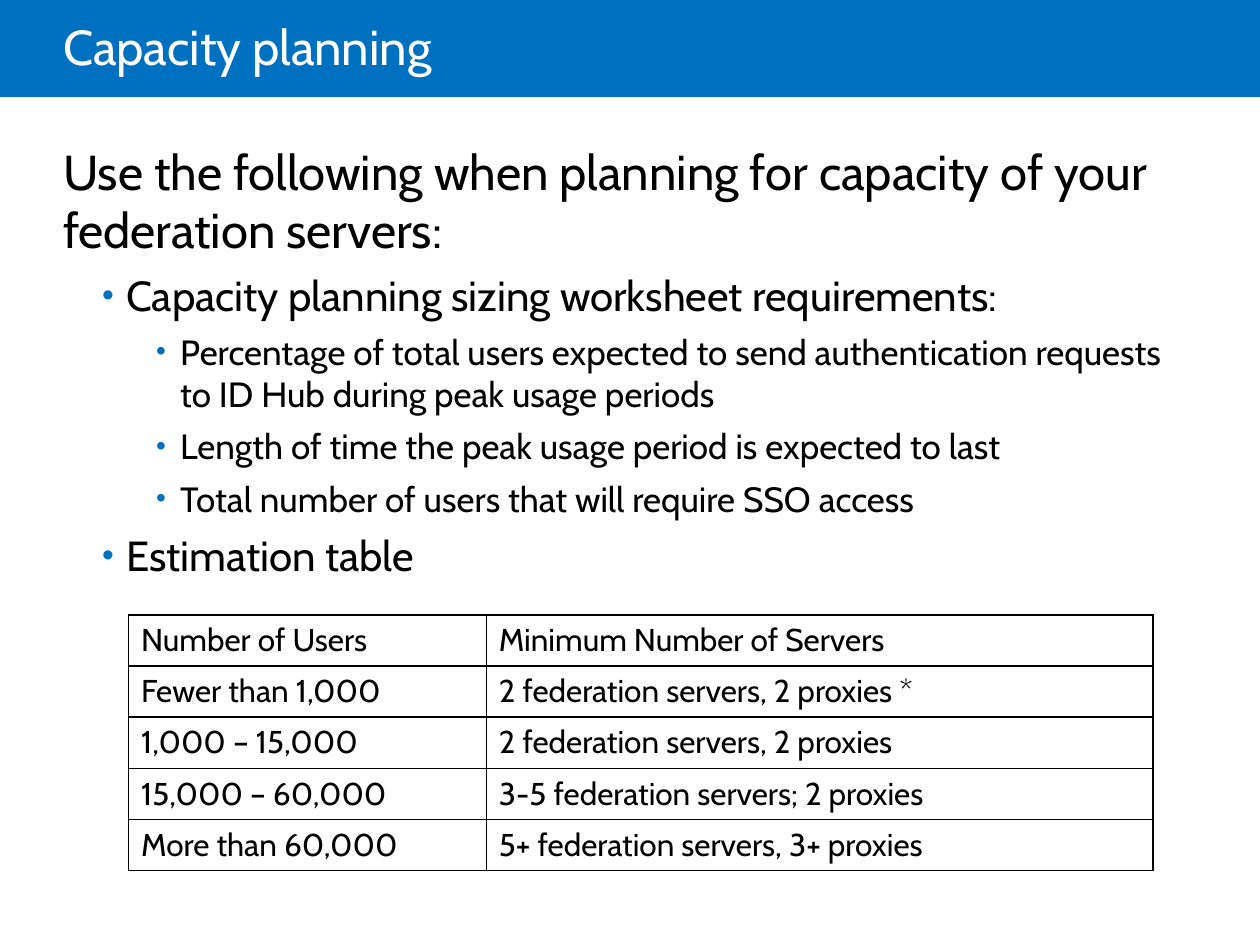
from dataclasses import dataclass

from lxml import etree
from pptx import Presentation
from pptx.dml.color import RGBColor
from pptx.enum import shapes, text
from pptx.oxml.ns import qn
from pptx.util import Inches, Pt


@dataclass(frozen=True)
class Theme:
    font: str = "Cabin"
    blue: str = "0070C0"
    white: str = "FFFFFF"
    black: str = "000000"
    title: int = 28
    levels: tuple = (28, 24, 20)
    table: int = 18


theme = Theme()
INDENTS = (0, 0.5, 0.93)
HANGING = 0.19

BODY = [
    (0, "Use the following when planning for capacity of your federation servers:"),
    (1, "Capacity planning sizing worksheet requirements:"),
    (2, "Percentage of total users expected to send authentication requests "
        "to ID Hub during peak usage periods"),
    (2, "Length of time the peak usage period is expected to last"),
    (2, "Total number of users that will require SSO access"),
    (1, "Estimation table"),
]
ESTIMATES = [
    ("Number of Users", "Minimum Number of Servers"),
    ("Fewer than 1,000", "2 federation servers, 2 proxies *"),
    ("1,000 – 15,000", "2 federation servers, 2 proxies"),
    ("15,000 – 60,000", "3-5 federation servers; 2 proxies"),
    ("More than 60,000", "5+ federation servers, 3+ proxies"),
]


def format_runs(p, size, color):
    for r in p.runs:
        r.font.name = theme.font
        r.font.size = Pt(size)
        r.font.bold = False
        r.font.color.rgb = RGBColor.from_string(color)


def add_xml(parent, tag, **attrs):
    return etree.SubElement(parent, qn(tag), attrs)


prs = Presentation()
prs.slide_width, prs.slide_height = Inches(10), Inches(7.5)
s = prs.slides.add_slide(prs.slide_layouts[5])

# Title on its blue band
title = s.shapes.title
title.left, title.top = Inches(0.5), Inches(0)
title.width, title.height = Inches(8.5), Inches(0.81)
tf = title.text_frame
tf.text = "Capacity planning"
tf.word_wrap = True
tf.auto_size = text.MSO_AUTO_SIZE.NONE
tf.vertical_anchor = text.MSO_ANCHOR.MIDDLE
tf.margin_left = 0
p = tf.paragraphs[0]
p.alignment = text.PP_ALIGN.LEFT
p.line_spacing = 0.85
format_runs(p, theme.title, theme.white)

band = s.shapes.add_shape(shapes.MSO_SHAPE.RECTANGLE, 0, 0, prs.slide_width, Inches(0.77))
band.shadow.inherit = False
band.fill.solid()
band.fill.fore_color.rgb = RGBColor.from_string(theme.blue)
band.line.fill.background()
title.element.addprevious(band.element)

# Outline
body = s.shapes.add_textbox(Inches(0.5), Inches(1.12), Inches(8.88), Inches(5.63))
tf = body.text_frame
tf.word_wrap = True
tf.margin_left = tf.margin_right = tf.margin_top = tf.margin_bottom = 0
for i, (level, line) in enumerate(BODY):
    p = tf.add_paragraph() if i else tf.paragraphs[0]
    p.text = line
    p.level = level
    p.space_before = Pt(6)
    format_runs(p, theme.levels[level], theme.black)
    if level:
        pPr = p._p.get_or_add_pPr()
        pPr.set("marL", str(Inches(INDENTS[level])))
        pPr.set("indent", str(-Inches(HANGING)))
        add_xml(add_xml(pPr, "a:buClr"), "a:srgbClr", val=theme.blue)
        add_xml(pPr, "a:buSzPct", val="80000")
        add_xml(pPr, "a:buFont", typeface="Arial")
        add_xml(pPr, "a:buChar", char="•")

# Estimation table
table_height = Inches(2.03)
table = s.shapes.add_table(len(ESTIMATES), 2, Inches(1.02), Inches(4.88),
                           Inches(8.13), table_height).table
table.first_row = table.horz_banding = False
for column, width in zip(table.columns, (2.84, 5.29)):
    column.width = Inches(width)
for row, values in zip(table.rows, ESTIMATES):
    row.height = table_height // len(ESTIMATES)
    for cell, value in zip(row.cells, values):
        cell.text = value
        format_runs(cell.text_frame.paragraphs[0], theme.table, theme.black)
        tcPr = cell._tc.get_or_add_tcPr()
        for side in ("a:lnL", "a:lnR", "a:lnT", "a:lnB"):
            border = add_xml(tcPr, side, w=str(Pt(1)))
            add_xml(add_xml(border, "a:solidFill"), "a:srgbClr", val=theme.black)
        cell.fill.solid()
        cell.fill.fore_color.rgb = RGBColor.from_string(theme.white)

prs.save("out.pptx")
